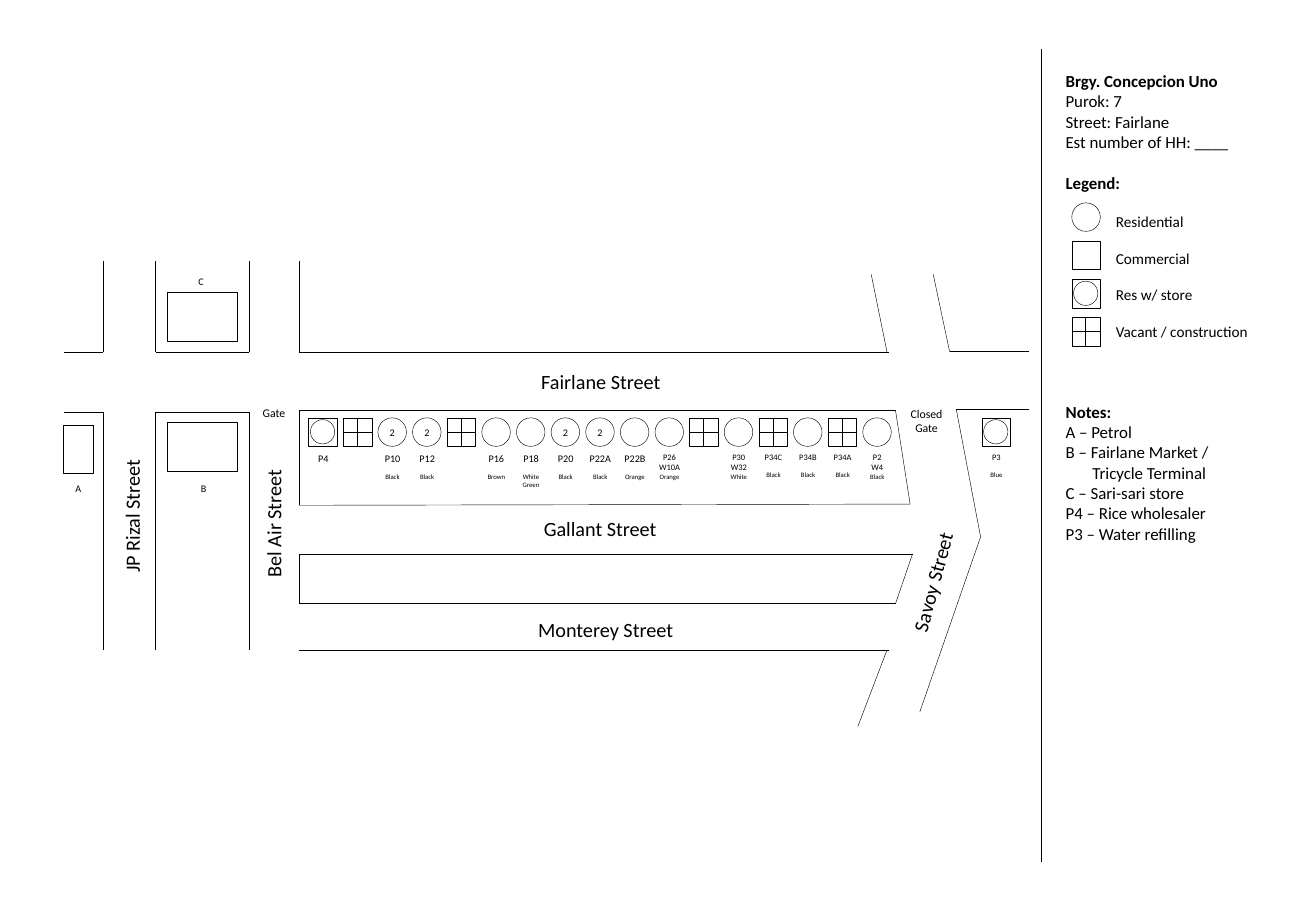
from dataclasses import dataclass
from itertools import pairwise

from lxml import etree
from pptx import Presentation
from pptx.dml.color import RGBColor
from pptx.enum.shapes import MSO_CONNECTOR, MSO_SHAPE
from pptx.enum.text import MSO_ANCHOR, MSO_AUTO_SIZE, PP_ALIGN
from pptx.oxml.ns import qn
from pptx.util import Pt

PX = 4572
STRAIGHT = MSO_CONNECTOR.STRAIGHT
RECT, OVAL = MSO_SHAPE.RECTANGLE, MSO_SHAPE.OVAL
LEFT, CENTER = PP_ALIGN.LEFT, PP_ALIGN.CENTER
TOP, MIDDLE = MSO_ANCHOR.TOP, MSO_ANCHOR.MIDDLE
NO_FIT = MSO_AUTO_SIZE.NONE
MARKER, STORE_CIRCLE = 47, 40
SLOT_PITCH = 57


@dataclass(frozen=True)
class Theme:
    """Colours, font and type sizes of the street map."""
    ink: RGBColor = RGBColor(0, 0, 0)
    font: str = "Calibri"
    line: float = 0.25
    street: int = 12
    panel: int = 10
    legend: int = 9
    gate: int = 7
    plot: int = 6
    plot_small: int = 5
    gate_colour: int = 4


@dataclass(frozen=True)
class Row:
    """One paragraph of text with its size, weight, space before and indent."""
    text: str
    size: int
    bold: bool = False
    space: int = 0
    indent: int = 0


THEME = Theme()

STREET_EDGES = [
    [(66, 0), (66, 150), (2, 150)],
    [(152, 0), (152, 150), (306, 150), (306, 0)],
    [(388, 0), (388, 150), (1360, 150)],
    [(1330, 22), (1356, 150)],
    [(1432, 22), (1459, 149), (1590, 149)],
    [(2, 248), (66, 248), (66, 640)],
    [(152, 640), (152, 248), (306, 248), (306, 640)],
    [(388, 402), (388, 246), (1370, 246), (1394, 400), (388, 402)],
    [(388, 482), (1398, 482), (1370, 564), (388, 564), (388, 482)],
    [(388, 640), (1360, 640)],
    [(1356, 640), (1308, 766)],
    [(1590, 244), (1470, 244), (1510, 454), (1410, 742)],
]
LANDMARKS = [(0, 270, 50, 80), (172, 266, 114, 80), (172, 52, 114, 80)]
MAP_LABELS = [
    (["JP Rizal Street"], THEME.street, (-2, 390, 230, 60), 270),
    (["Bel Air Street"], THEME.street, (236, 402, 220, 60), 270),
    (["Fairlane Street"], THEME.street, (766, 168, 238, 60), 0),
    (["Gallant Street"], THEME.street, (770, 410, 228, 60), 0),
    (["Monterey Street"], THEME.street, (760, 576, 266, 60), 0),
    (["Savoy Street"], THEME.street, (1326, 498, 210, 60), 285),
    (["Gate"], THEME.gate, (308, 228, 78, 44), 0),
    (["Closed", "Gate"], THEME.gate, (1372, 230, 98, 68), 0),
    (["A"], THEME.plot, (0, 354, 50, 40), 0),
    (["B"], THEME.plot, (174, 354, 114, 40), 0),
    (["C"], THEME.plot, (170, 14, 114, 40), 0),
]
FAIRLANE_PLOTS = [
    ("store", "", ["P4"], [], THEME.plot),
    ("vacant", "", [], [], THEME.plot),
    ("house", "2", ["P10"], ["Black"], THEME.plot),
    ("house", "2", ["P12"], ["Black"], THEME.plot),
    ("vacant", "", [], [], THEME.plot),
    ("house", "", ["P16"], ["Brown"], THEME.plot),
    ("house", "", ["P18"], ["White", "Green"], THEME.plot),
    ("house", "2", ["P20"], ["Black"], THEME.plot),
    ("house", "2", ["P22A"], ["Black"], THEME.plot),
    ("house", "", ["P22B"], ["Orange"], THEME.plot),
    ("house", "", ["P26", "W10A"], ["Orange"], THEME.plot_small),
    ("vacant", "", [], [], THEME.plot),
    ("house", "", ["P30", "W32"], ["White"], THEME.plot_small),
    ("vacant", "", ["P34C"], ["Black"], THEME.plot_small),
    ("house", "", ["P34B"], ["Black"], THEME.plot_small),
    ("vacant", "", ["P34A"], ["Black"], THEME.plot_small),
    ("house", "", ["P2", "W4"], ["Black"], THEME.plot_small),
]
SAVOY_PLOTS = [("store", "", ["P3"], ["Blue"], THEME.plot_small)]
LEGEND = [("house", "Residential"), ("shop", "Commercial"),
          ("store", "Res w/ store"), ("vacant", "Vacant / construction")]
DETAILS = ["Purok: 7", "Street: Fairlane", "Est number of HH: ____"]
NOTES = [("A – Petrol", 0), ("B – Fairlane Market /", 0), ("Tricycle Terminal", 44),
         ("C – Sari-sari store", 0), ("P4 – Rice wholesaler", 0), ("P3 – Water refilling", 0)]


def apply(target, values):
    """Set every attribute in values on target."""
    for key, value in values.items():
        setattr(target, key, value)


def emu(*lengths):
    """Turn px lengths into EMU."""
    return [length * PX for length in lengths]


def write(frame, rows, align=CENTER, **frame_format):
    """Fill a text frame with rows."""
    apply(frame, {"word_wrap": False, "auto_size": NO_FIT,
                  "vertical_anchor": TOP, **frame_format})
    for index, row in enumerate(rows):
        paragraph = frame.paragraphs[0] if index == 0 else frame.add_paragraph()
        properties = paragraph._p.get_or_add_pPr()
        properties.set("marL", str(row.indent * PX))
        properties.set("indent", "0")
        etree.SubElement(properties, qn("a:buNone"))
        apply(paragraph, {"alignment": align, "space_before": Pt(row.space),
                          "space_after": Pt(0), "line_spacing": 1.0})
        run = paragraph.add_run()
        run.text = row.text
        apply(run.font, {"name": THEME.font, "size": Pt(row.size), "bold": row.bold})
        run.font.color.rgb = THEME.ink


def label(shapes, box, rows, rotation=0, **text_format):
    """Add a text box."""
    caption = shapes.add_textbox(*emu(*box))
    caption.rotation = rotation
    write(caption.text_frame, rows, **text_format)


def edge(shapes, start, end):
    """Add a thin straight line."""
    line = shapes.add_connector(STRAIGHT, *emu(*start, *end))
    apply(line.line, {"width": Pt(THEME.line)})
    line.line.color.rgb = THEME.ink
    etree.SubElement(line._element.spPr, qn("a:effectLst"))


def outline(shapes, kind, box):
    """Add an unfilled shape with a thin outline."""
    shape = shapes.add_shape(kind, *emu(*box))
    shape.shadow.inherit = False
    shape.fill.background()
    shape.line.width = Pt(THEME.line)
    shape.line.color.rgb = THEME.ink
    return shape


def marker(shapes, kind, box, count=""):
    """Draw the symbol of one kind of plot in its square box."""
    left, top, size, _ = box
    if kind in ("store", "vacant"):
        shapes = shapes.add_group_shape().shapes
    if kind == "store":
        gap = (size - STORE_CIRCLE) // 2
        outline(shapes, OVAL, (left + gap, top + gap, STORE_CIRCLE, STORE_CIRCLE))
    symbol = outline(shapes, OVAL if kind == "house" else RECT, box)
    if kind == "vacant":
        half = size // 2
        edge(shapes, (left + half, top), (left + half, top + size))
        edge(shapes, (left, top + half), (left + size, top + half))
    if count:
        write(symbol.text_frame, [Row(count, THEME.plot)], vertical_anchor=MIDDLE,
              margin_left=0, margin_right=0, margin_top=0, margin_bottom=0)


def street_map(shapes, box):
    """Draw the street edges, landmarks and street names."""
    left, top, _, _ = box
    for corners in STREET_EDGES:
        for start, end in pairwise([(left + x, top + y) for x, y in corners]):
            edge(shapes, start, end)
    for x, y, width, height in LANDMARKS:
        outline(shapes, RECT, (left + x, top + y, width, height))
    for lines, size, (x, y, width, height), rotation in MAP_LABELS:
        label(shapes, (left + x, top + y, width, height),
              [Row(line, size) for line in lines], rotation)


def plot_row(shapes, box, plots):
    """Place plots at an equal pitch, each with its number and gate colour."""
    left, top, _, height = box
    for index, (kind, count, numbers, colours, size) in enumerate(plots):
        x = left + index * SLOT_PITCH
        marker(shapes, kind, (x, top, MARKER, MARKER), count)
        gap = 0 if len(numbers) > 1 else 5
        rows = [Row(number, size) for number in numbers]
        rows += [Row(colour, THEME.gate_colour, space=0 if i else gap)
                 for i, colour in enumerate(colours)]
        if rows:
            label(shapes, (x - 14, top + MARKER, 76, height - MARKER), rows)


def side_panel(slide, box):
    """Place the heading, details, legend and notes beside a divider."""
    left, top, width, height = box
    shapes, text_left, text_width = slide.shapes, left + 20, width - 22
    edge(shapes, (left, top), (left, top + height))
    title, notes = shapes.title, slide.placeholders[1]
    heading = [Row("Brgy. Concepcion Uno", THEME.panel, True)]
    note_rows = [Row("Notes:", THEME.panel, True)]
    note_rows += [Row(text, THEME.panel, indent=indent) for text, indent in NOTES]
    for holder, y, depth, rows in ((title, 26, 54, heading), (notes, 571, 260, note_rows)):
        place = emu(text_left, top + y, text_width, depth)
        apply(holder, dict(zip(("left", "top", "width", "height"), place)))
        write(holder.text_frame, rows, LEFT, word_wrap=True)
    label(shapes, (text_left, top + 60, text_width, 122),
          [Row(line, THEME.panel) for line in DETAILS], align=LEFT, word_wrap=True)
    label(shapes, (text_left, top + 194, text_width, 54),
          [Row("Legend:", THEME.panel, True)], align=LEFT, word_wrap=True)
    for index, (kind, meaning) in enumerate(LEGEND):
        marker(shapes, kind, (left + 50, top + 254 + index * 63, MARKER, MARKER))
        label(shapes, (left + 103, top + 255 + index * 60, 280, 60),
              [Row(meaning, THEME.legend)], align=LEFT, vertical_anchor=MIDDLE,
              word_wrap=True)


def main():
    """Build the map slide and save it."""
    deck = Presentation()
    deck.slide_width, deck.slide_height = emu(2166, 1500)
    slide = deck.slides.add_slide(deck.slide_layouts[1])
    side_panel(slide, (1714, 80, 380, 1340))
    street_map(slide.shapes, (104, 430, 1590, 766))
    plot_row(slide.shapes, (508, 688, 960, 126), FAIRLANE_PLOTS)
    plot_row(slide.shapes, (1616, 688, 47, 126), SAVOY_PLOTS)
    deck.save("out.pptx")


if __name__ == "__main__":
    main()
